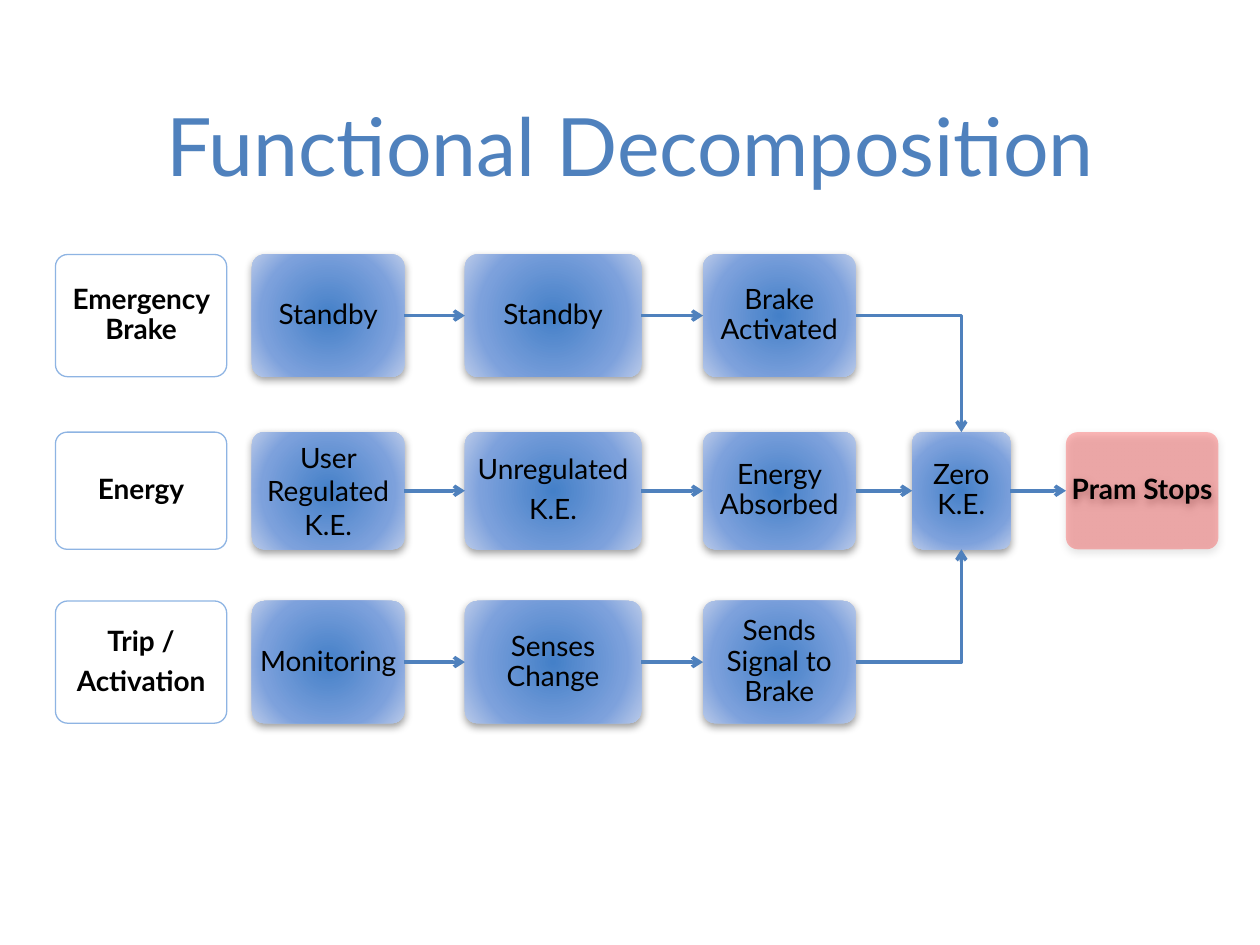
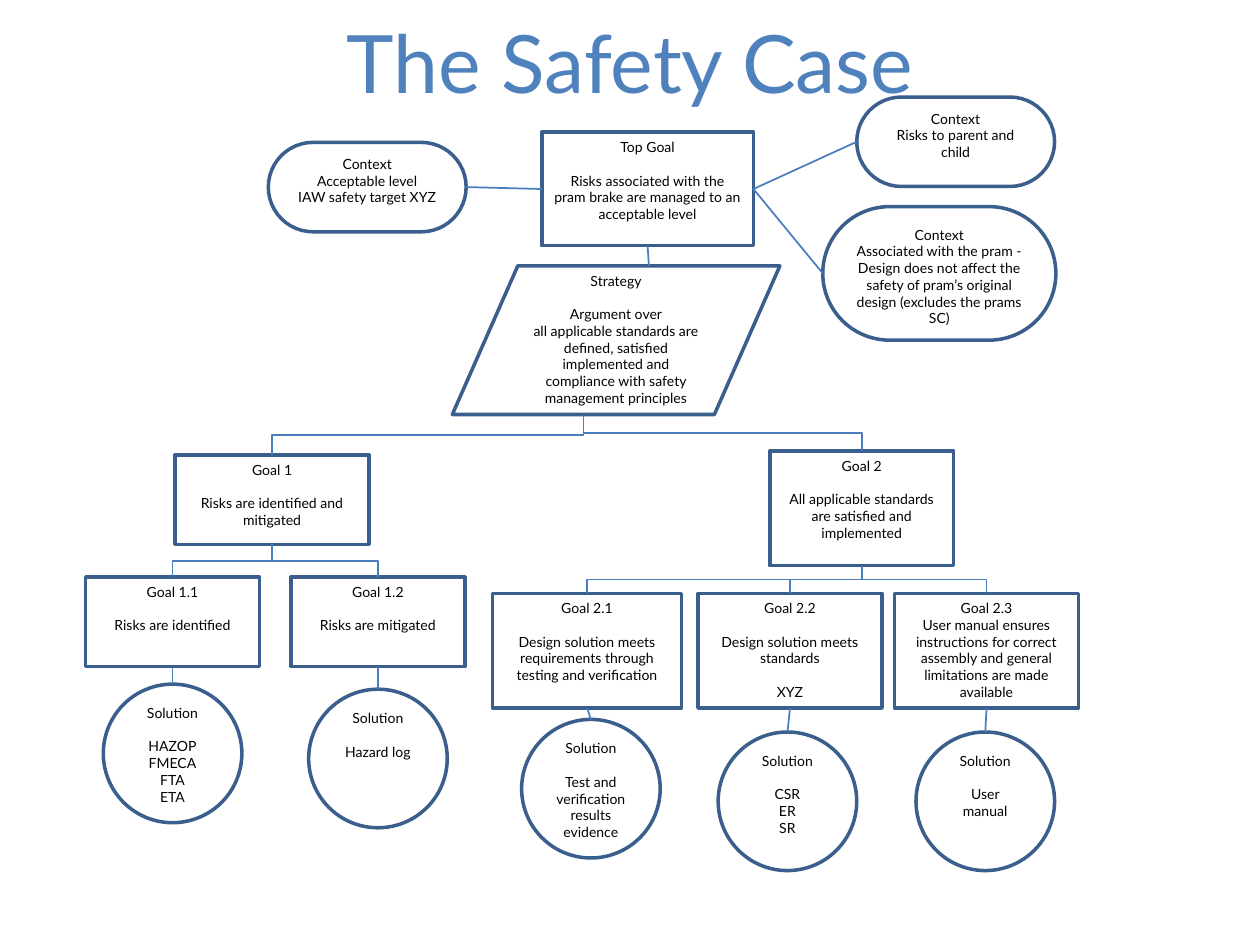
from pptx import Presentation
from pptx.dml.color import RGBColor
from pptx.enum.shapes import MSO_CONNECTOR, MSO_SHAPE
from pptx.enum.text import MSO_ANCHOR, PP_ALIGN
from pptx.oxml import parse_xml
from pptx.oxml.ns import nsdecls, qn
from pptx.util import Inches, Pt

ROUNDED, OVAL = MSO_SHAPE.ROUNDED_RECTANGLE, MSO_SHAPE.OVAL
PROCESS, INPUT_OUTPUT = MSO_SHAPE.FLOWCHART_PROCESS, MSO_SHAPE.FLOWCHART_DATA
STRAIGHT, ELBOW = MSO_CONNECTOR.STRAIGHT, MSO_CONNECTOR.ELBOW
TOP, LEFT, BOTTOM, RIGHT = range(4)

FONT = "Lato"
COLOURS = {
    "title": "4F81BD", "text": "000000", "label line": "8EB4E3",
    "arrow": "4F81BD", "case line": "3A5F8C", "case link": "4B7EBC",
    "stop": "FF0000", "shadow": "000000",
}
GLOW_STOPS = [(0, "4480C8"), (69, "7DA1DC"), (100, "BACAE9")]


def draw_box(page, preset, place, text, size, line=None, width=1):
    """Outlined shape; a blank line in the text becomes paragraph spacing."""
    box = page.shapes.add_shape(preset, *[Inches(length) for length in place])
    box.shadow.inherit = False
    if line:
        box.fill.background()
        box.line.color.rgb = RGBColor.from_string(COLOURS[line])
        box.line.width = Pt(width)
    else:
        box.line.fill.background()
    frame = box.text_frame
    frame.word_wrap = True
    lines = [(part, index == 0 and block > 0)
             for block, section in enumerate(text.split("\n\n"))
             for index, part in enumerate(section.split("\n"))]
    for number, (part, gap) in enumerate(lines):
        para = frame.add_paragraph() if number else frame.paragraphs[0]
        para.text = part
        para.alignment = PP_ALIGN.CENTER
        para.font.name, para.font.size = FONT, Pt(size)
        para.font.color.rgb = RGBColor.from_string(COLOURS["text"])
        if gap:
            para.space_before = Pt(size * 1.2)
    return box


def join(page, kind, start, start_side, end, end_side, colour, width):
    link = page.shapes.add_connector(kind, 0, 0, 0, 0)
    link.begin_connect(start, start_side)
    link.end_connect(end, end_side)
    link.line.color.rgb = RGBColor.from_string(COLOURS[colour])
    link.line.width = Pt(width)
    link._element.spPr.append(parse_xml(f"<a:effectLst {nsdecls('a')}/>"))
    return link


deck = Presentation()
deck.slide_width, deck.slide_height = Inches(10), Inches(7.5)

# Titles
pages = []
for heading, height in [("Functional Decomposition", 1.46), ("The Safety Case", 0.8)]:
    page = deck.slides.add_slide(deck.slide_layouts[5])
    title = page.shapes.title
    title.left, title.top = Inches(0.6), Inches(0.12)
    title.width, title.height = Inches(8.8), Inches(height)
    title.text_frame.text = heading
    title.text_frame.vertical_anchor = MSO_ANCHOR.BOTTOM
    para = title.text_frame.paragraphs[0]
    para.alignment = PP_ALIGN.CENTER
    para.font.name, para.font.size = FONT, Pt(46)
    para.font.color.rgb = RGBColor.from_string(COLOURS["title"])
    pages.append(page)
flow_page, case_page = pages

# Functional decomposition: one row of boxes per function
columns = [(0.44, 1.36), (2, 1.21), (3.69, 1.4), (5.58, 1.21), (7.24, 0.78), (8.46, 1.21)]
rows = [(2.02, 0.97), (3.43, 0.93), (4.77, 0.97)]
functions = [
    ["Emergency Brake", "Standby", "Standby", "Brake Activated"],
    ["Energy", "User Regulated K.E.", "Unregulated\nK.E.", "Energy Absorbed",
     "Zero K.E.", "Pram Stops"],
    ["Trip /\nActivation", "Monitoring", "Senses Change", "Sends Signal to Brake"],
]
stops = "".join(f'<a:gs pos="{share * 1000}"><a:srgbClr val="{colour}"/></a:gs>'
                for share, colour in GLOW_STOPS)
glow = (f'<a:gradFill {nsdecls("a")} rotWithShape="1"><a:gsLst>{stops}</a:gsLst>'
        '<a:path path="circle"><a:fillToRect l="100000" t="100000" r="100000" b="100000"/>'
        '</a:path></a:gradFill>')
shadow = (f'<a:outerShdw {nsdecls("a")} blurRad="{Pt(5)}" dist="{Pt(2)}" dir="5400000" '
          f'rotWithShape="0"><a:srgbClr val="{COLOURS["shadow"]}"><a:alpha val="40000"/>'
          '</a:srgbClr></a:outerShdw>')
steps = []
for (top, height), names in zip(rows, functions):
    row_boxes = []
    for column, ((left, width), name) in enumerate(zip(columns, names)):
        is_label, is_stop = column == 0, column == 5
        box = draw_box(flow_page, ROUNDED, (left, top, width, height), name, 16,
                       "label line" if is_label else None, 0.75)
        box.adjustments[0] = 0.1
        properties = box._element.spPr
        if is_stop:
            box.fill.solid()
            box.fill.fore_color.rgb = RGBColor.from_string(COLOURS["stop"])
            properties.find(".//" + qn("a:srgbClr")).append(
                parse_xml(f'<a:alpha {nsdecls("a")} val="27000"/>'))
        elif not is_label:
            properties.insert(2, parse_xml(glow))
        if not is_label:
            properties.find(qn("a:effectLst")).append(parse_xml(shadow))
        frame = box.text_frame
        frame.vertical_anchor = MSO_ANCHOR.MIDDLE
        frame.margin_left = frame.margin_right = frame.margin_top = frame.margin_bottom = 0
        for para in frame.paragraphs:
            para.font.bold = is_label or is_stop
            if name != "User Regulated K.E.":
                para.line_spacing, para.space_after = 0.9, Pt(5.6)
        row_boxes.append(box)
    steps.append(row_boxes)

# Arrows along each row, then from the outer rows into "Zero K.E."
zero = steps[1][4]
arrows = [join(flow_page, STRAIGHT, start, RIGHT, end, LEFT, "arrow", 2)
          for row_boxes in steps for start, end in zip(row_boxes[1:], row_boxes[2:])]
for row_boxes, side in [(steps[0], TOP), (steps[2], BOTTOM)]:
    turn = join(flow_page, ELBOW, row_boxes[-1], RIGHT, zero, side, "arrow", 2)
    turn._element.spPr.find(qn("a:prstGeom")).set("prst", "bentConnector2")
    arrows.append(turn)
for arrow in arrows:
    arrow._element.spPr.find(qn("a:ln")).append(
        parse_xml(f'<a:tailEnd {nsdecls("a")} type="arrow"/>'))

# Safety case: goals, contexts and solutions
SOLUTION = 1.1
nodes = {
    "strategy": (INPUT_OUTPUT, (3.59, 2.11, 2.6, 1.18),
                 "Strategy\n\nArgument over\nall applicable standards are defined, satisfied "
                 "implemented and compliance with safety management principles"),
    "top": (PROCESS, (4.3, 1.05, 1.68, 0.9),
            "Top Goal\n\nRisks associated with the pram brake are managed to an acceptable level"),
    "level": (ROUNDED, (2.13, 1.13, 1.57, 0.71),
              "Context\nAcceptable level\nIAW safety target XYZ"),
    "people": (ROUNDED, (6.8, 0.77, 1.57, 0.71), "Context\nRisks to parent and child"),
    "design": (ROUNDED, (6.53, 1.64, 1.85, 1.06),
               "Context\nAssociated with the pram - Design does not affect the safety of "
               "pram’s original design (excludes the prams SC)"),
    "1": (PROCESS, (1.39, 3.61, 1.54, 0.71), "Goal 1\n\nRisks are identified and mitigated"),
    "2": (PROCESS, (6.11, 3.58, 1.46, 0.91),
          "Goal 2\n\nAll applicable standards are satisfied and implemented"),
    "1.1": (PROCESS, (0.68, 4.58, 1.38, 0.71), "Goal 1.1\n\nRisks are identified"),
    "1.2": (PROCESS, (2.31, 4.58, 1.38, 0.71), "Goal 1.2\n\nRisks are mitigated"),
    "2.1": (PROCESS, (3.91, 4.71, 1.5, 0.91),
            "Goal 2.1\n\nDesign solution meets requirements through testing and verification"),
    "2.2": (PROCESS, (5.54, 4.71, 1.46, 0.91),
            "Goal 2.2\n\nDesign solution meets\nstandards\n\nXYZ"),
    "2.3": (PROCESS, (7.1, 4.71, 1.46, 0.91),
            "Goal 2.3\nUser manual ensures instructions for correct assembly and general "
            "limitations are made available"),
}
solutions = {
    "1.1": (0.82, 5.43, "HAZOP\nFMECA\nFTA\nETA"),
    "1.2": (2.45, 5.47, "Hazard log"),
    "2.1": (4.14, 5.71, "Test and verification results evidence"),
    "2.2": (5.7, 5.81, "CSR\nER\nSR"),
    "2.3": (7.27, 5.81, "User manual"),
}
for goal, (left, top, evidence) in solutions.items():
    nodes["solution " + goal] = (OVAL, (left, top, SOLUTION, SOLUTION),
                                 "Solution\n\n" + evidence)

case = {}
for name, (preset, place, text) in nodes.items():
    box = draw_box(case_page, preset, place, text, 8, "case line", 2)
    box.text_frame.vertical_anchor = MSO_ANCHOR.TOP
    if preset in (ROUNDED, OVAL):
        box.text_frame.margin_top = 0
    if preset == ROUNDED:
        box.adjustments[0] = 0.5
    case[name] = box

# Straight links
links = [("top", LEFT, "level", RIGHT), ("top", RIGHT, "people", LEFT),
         ("top", RIGHT, "design", LEFT), ("top", BOTTOM, "strategy", TOP)]
links += [(goal, BOTTOM, "solution " + goal, TOP) for goal in solutions]
for start, start_side, end, end_side in links:
    link = join(case_page, STRAIGHT, case[start], start_side, case[end], end_side,
                "case link", 1)
    if end == "strategy":
        link.end_x = int(case[end].left + case[end].width * 0.6)

# Branches: down, across and down again, so each elbow is turned a quarter
branches = {"strategy": ["1", "2"], "1": ["1.1", "1.2"], "2": ["2.1", "2.2", "2.3"]}
for parent_name, children in branches.items():
    parent = case[parent_name]
    slanted = parent_name == "strategy"
    start_x = int(parent.left + parent.width * (0.4 if slanted else 0.5))
    start_y = parent.top + parent.height
    for child_name in children:
        child = case[child_name]
        branch = join(case_page, ELBOW, parent, 3 if slanted else BOTTOM, child, TOP,
                      "case link", 1)
        across = child.left + child.width // 2 - start_x
        drop = child.top - start_y
        branch.width, branch.height = drop, abs(across)
        branch.left = start_x + (across - drop) // 2
        branch.top = start_y + (drop - abs(across)) // 2
        frame = branch._element.spPr.find(qn("a:xfrm"))
        for flip in ("flipH", "flipV"):
            frame.attrib.pop(flip, None)
        frame.set("rot", str((90 if across < 0 else 270) * 60000))
        if across > 0:
            frame.set("flipH", "1")

deck.save("out.pptx")
